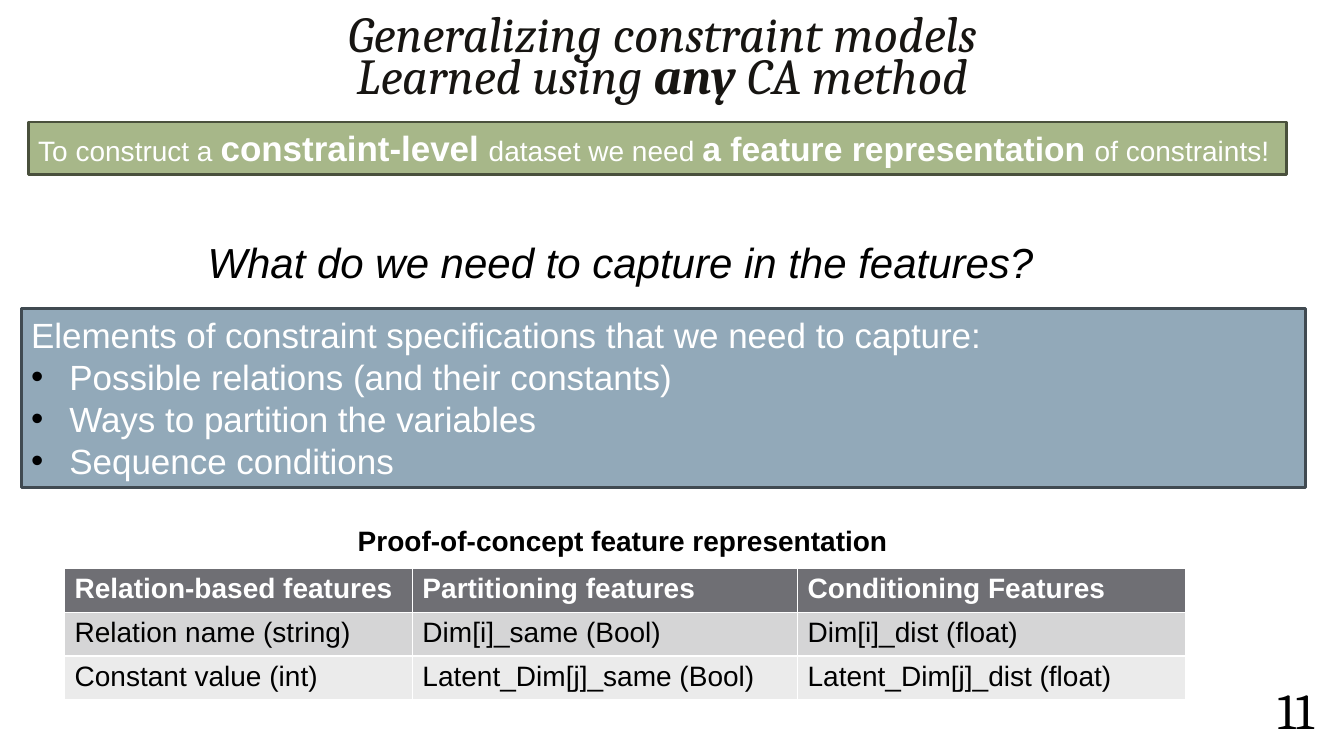
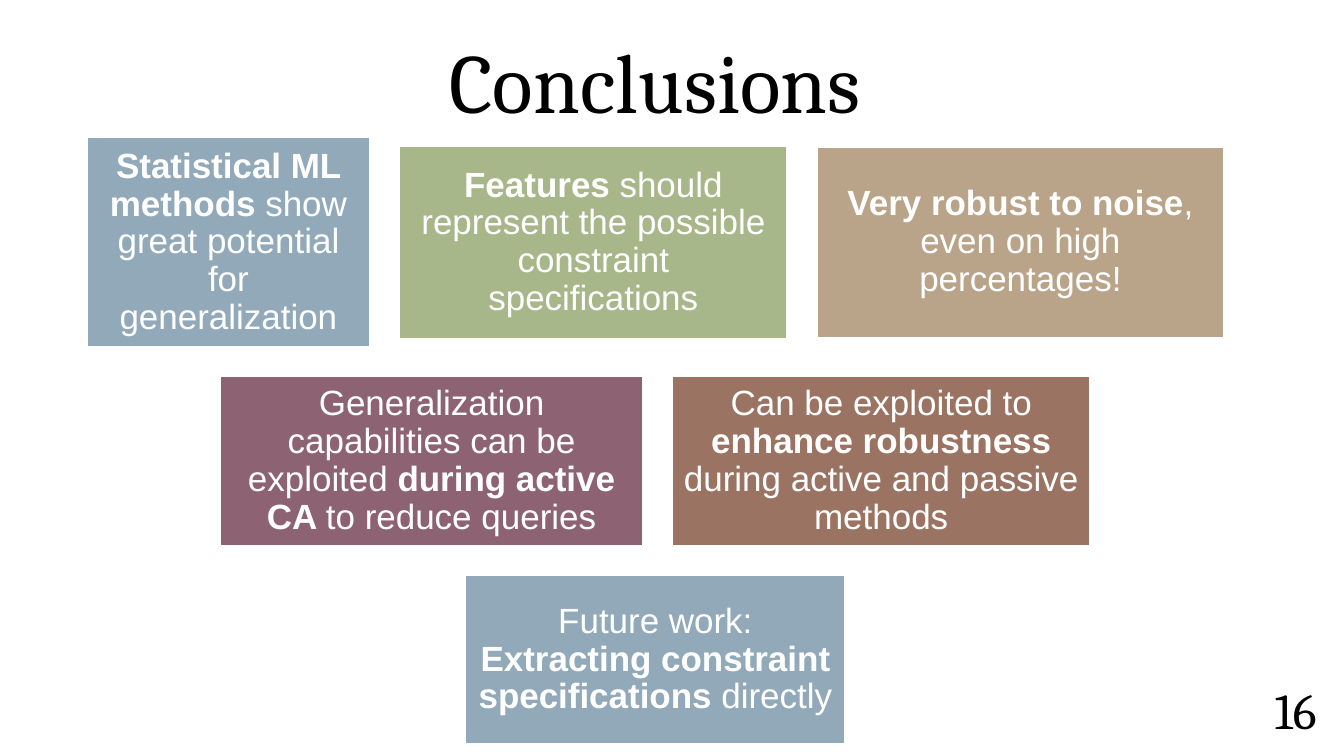
import pptx
import pptx.util
import pptx.dml.color
import pptx.enum.shapes
import pptx.enum.text
import lxml.etree

ALIGN = pptx.enum.text.PP_ALIGN
ANCHOR = pptx.enum.text.MSO_ANCHOR

THEME = {
    "serif": "Cambria", "sans": "Arial",
    "black": "000000", "white": "FFFFFF", "ink": "171512",
    "blue": "92A9B9", "blue_edge": "404A51",
    "green": "A7B789", "green_edge": "49503C",
    "tan": "B9A489", "plum": "8D6374", "brown": "9B7362",
    "header": "6F6F74", "bands": ("D5D5D6", "EBEBEB"),
    "small": 20, "strong": 24, "body": 25, "question": 30,
    "subtitle": 36, "title": 60,
}
SLIDE_W, SLIDE_H = 1333, 750
PX = 9144

FEATURE_TITLE = [
    [("Generalizing constraint models", {})],
    [("Learned using ", {}), ("any ", {"bold": True}), ("CA method", {})],
]
FEATURE_NEED = [
    ("To construct a ", {}),
    ("constraint-level ", {"bold": True, "size": THEME["body"]}),
    ("dataset we need ", {}),
    ("a feature representation ", {"bold": True, "size": THEME["strong"]}),
    ("of constraints!", {}),
]
QUESTION = "What do we need to capture in the features?"
ELEMENTS_LEAD = "Elements of constraint specifications that we need to capture:"
ELEMENTS = [
    "Possible relations (and their constants)",
    "Ways to partition the variables",
    "Sequence conditions",
]
TABLE_TITLE = "Proof-of-concept feature representation"
TABLE_COLS = [345, 382, 385]
TABLE_ROWS = [
    ["Relation-based features", "Partitioning features", "Conditioning Features"],
    ["Relation name (string)", "Dim[i]_same (Bool)", "Dim[i]_dist (float)"],
    ["Constant value (int)", "Latent_Dim[j]_same (Bool)", "Latent_Dim[j]_dist (float)"],
]
ROW_H = 43

BOLD = {"bold": True}
CARD_ROWS = [
    [
        (282, 209, "blue", [("Statistical ML methods ", BOLD),
                            ("show great potential for generalization", {})]),
        (386, 192, "green", [("Features ", BOLD),
                             ("should represent the possible constraint specifications", {})]),
        (405, 190, "tan", [("Very robust to noise", BOLD),
                           (", even on high percentages!", {})]),
    ],
    [
        (420, 169, "plum", [("Generalization capabilities can be exploited ", {}),
                            ("during active CA ", BOLD), ("to reduce queries", {})]),
        (416, 169, "brown", [("Can be exploited to ", {}), ("enhance robustness ", BOLD),
                             ("during active and passive methods", {})]),
    ],
    [
        (378, 169, "blue", [("Future work: ", {}),
                            ("Extracting constraint specifications ", BOLD),
                            ("directly", {})]),
    ],
]
CARD_GAP, CARDS_TOP, CARDS_CENTER = 28, 136, 650


def px(n):
    return pptx.util.Emu(round(n * PX))


def rgb(color):
    return pptx.dml.color.RGBColor.from_string(color)


def add_bullet(p):
    pPr = p._p.get_or_add_pPr()
    pPr.set("marL", str(px(38)))
    pPr.set("indent", str(px(-38)))
    ns = "{http://schemas.openxmlformats.org/drawingml/2006/main}"
    clr = lxml.etree.SubElement(pPr, ns + "buClr")
    lxml.etree.SubElement(clr, ns + "srgbClr", val=THEME["black"])
    lxml.etree.SubElement(pPr, ns + "buFont", typeface=THEME["sans"])
    lxml.etree.SubElement(pPr, ns + "buChar", char="•")


def write_runs(p, runs, size, color, font="sans", bold=False, italic=False):
    for text, style in runs:
        r = p.add_run()
        r.text = text
        r.font.name = THEME[font]
        r.font.size = pptx.util.Pt(style.get("size", size))
        r.font.bold = style.get("bold", bold)
        r.font.italic = italic
        r.font.color.rgb = rgb(THEME[color])


def write_text(sp, paragraphs, size, color, align=ALIGN.LEFT, anchor=ANCHOR.TOP,
               spacing=1.0, insets=(10, 5), wrap=True, bullets_from=None, **font):
    tf = sp.text_frame
    tf.word_wrap = wrap
    tf.vertical_anchor = anchor
    tf.margin_left = tf.margin_right = px(insets[0])
    tf.margin_top = tf.margin_bottom = px(insets[1])
    for i, runs in enumerate(paragraphs):
        p = tf.add_paragraph() if i else tf.paragraphs[0]
        p.alignment = align
        p.line_spacing = spacing
        if bullets_from is not None and i >= bullets_from:
            add_bullet(p)
        write_runs(p, runs, size, color, **font)


def add_text(s, box, paragraphs, size, color="black", **style):
    sp = s.shapes.add_textbox(*map(px, box))
    write_text(sp, paragraphs, size, color, **style)


def add_panel(s, box, fill, edge, paragraphs, size, **style):
    sp = s.shapes.add_shape(pptx.enum.shapes.MSO_SHAPE.RECTANGLE, *map(px, box))
    sp.shadow.inherit = False
    sp.fill.solid()
    sp.fill.fore_color.rgb = rgb(THEME[fill])
    sp.line.color.rgb = rgb(THEME[edge])
    sp.line.width = pptx.util.Pt(2)
    write_text(sp, paragraphs, size, "white", **style)


def add_slide(prs, number, title, box, size, color, **style):
    s = prs.slides.add_slide(prs.slide_layouts[6])
    add_text(s, box, title, size, color, font="serif", align=ALIGN.CENTER,
             anchor=ANCHOR.BOTTOM, **style)
    add_text(s, (1235, 675, 100, 65), [[(str(number), {})]], THEME["subtitle"],
             font="serif", align=ALIGN.CENTER, anchor=ANCHOR.MIDDLE,
             spacing=0.9, insets=(5, 5))
    return s


def add_feature_table(s, left, top):
    frame = s.shapes.add_table(len(TABLE_ROWS), len(TABLE_COLS), px(left), px(top),
                               px(sum(TABLE_COLS)), px(ROW_H * len(TABLE_ROWS)))
    table = frame.table
    for col, width in zip(table.columns, TABLE_COLS):
        col.width = px(width)
    fills = (THEME["header"],) + THEME["bands"]
    for i, (row, fill) in enumerate(zip(TABLE_ROWS, fills)):
        for j, text in enumerate(row):
            cell = table.cell(i, j)
            cell.fill.solid()
            cell.fill.fore_color.rgb = rgb(fill)
            write_runs(cell.text_frame.paragraphs[0], [(text, {})], THEME["small"],
                       "black" if i else "white", bold=i == 0)


def build_features(prs):
    s = add_slide(prs, 11, FEATURE_TITLE, (163, 8, 988, 99), THEME["subtitle"], "ink",
                  spacing=0.7, italic=True)
    add_panel(s, (28, 121, 1248, 52), "green", "green_edge", [FEATURE_NEED],
              THEME["small"], align=ALIGN.JUSTIFY)
    add_text(s, (196, 230, 848, 61), [[(QUESTION, {})]], THEME["question"], italic=True)
    add_panel(s, (21, 306, 1274, 178), "blue", "blue_edge",
              [[(line, {})] for line in [ELEMENTS_LEAD] + ELEMENTS],
              THEME["body"], bullets_from=1)
    add_text(s, (345, 514, 550, 44), [[(TABLE_TITLE, {})]], THEME["small"],
             wrap=False, bold=True)
    add_feature_table(s, 64, 564)


def build_conclusions(prs):
    s = add_slide(prs, 16, [[("Conclusions", {})]], (247, 41, 805, 95),
                  THEME["title"], "black", spacing=0.9)
    top = CARDS_TOP
    for cards in CARD_ROWS:
        row_h = max(card[1] for card in cards)
        row_w = sum(card[0] for card in cards) + CARD_GAP * (len(cards) - 1)
        left = CARDS_CENTER - row_w / 2
        for w, h, fill, runs in cards:
            add_panel(s, (left, top + (row_h - h) / 2, w, h), fill, "white", [runs],
                      THEME["body"], align=ALIGN.CENTER, anchor=ANCHOR.MIDDLE,
                      spacing=0.9, insets=(10, 10))
            left += w + CARD_GAP
        top += row_h + CARD_GAP


def main():
    prs = pptx.Presentation()
    prs.slide_width, prs.slide_height = px(SLIDE_W), px(SLIDE_H)
    build_features(prs)
    build_conclusions(prs)
    prs.save("out.pptx")


if __name__ == "__main__":
    main()
